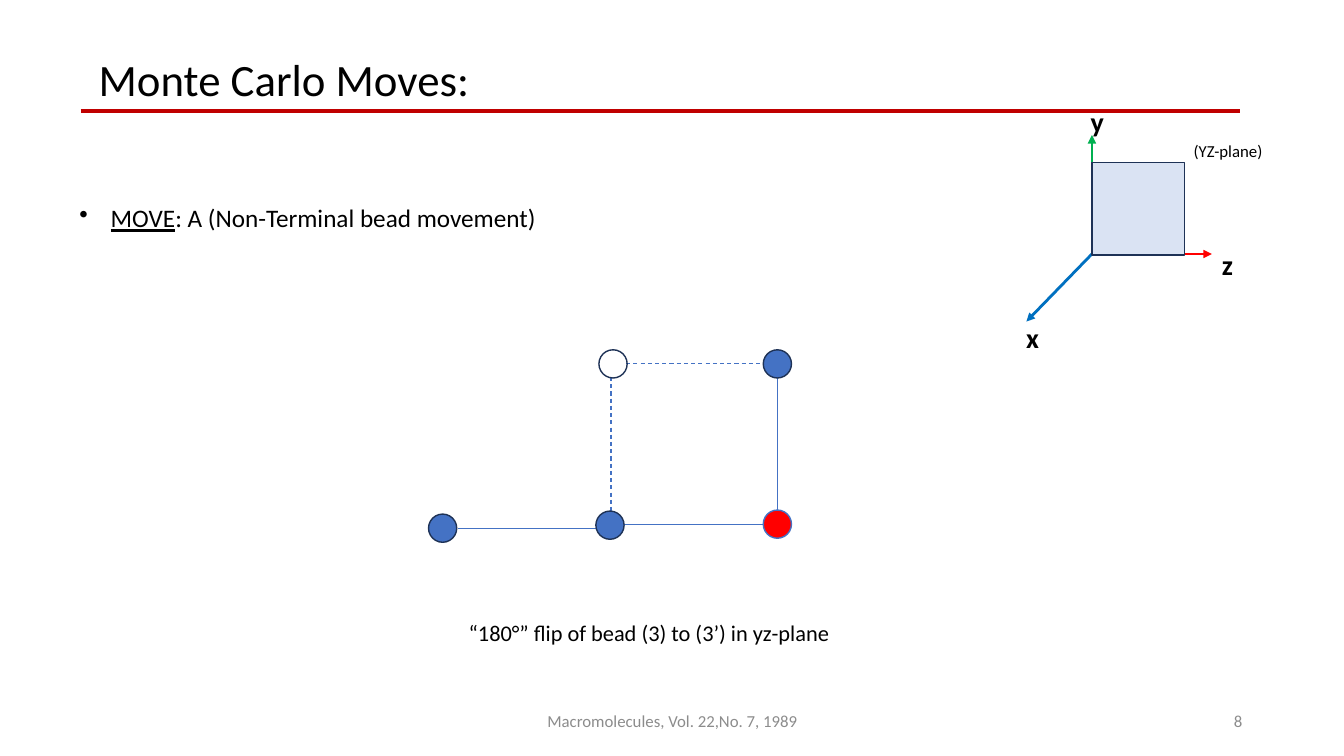
from lxml import etree
from pptx import Presentation
from pptx.dml.color import RGBColor
from pptx.enum.dml import MSO_LINE
from pptx.enum.shapes import MSO_CONNECTOR, MSO_SHAPE
from pptx.enum.text import MSO_ANCHOR, PP_ALIGN
from pptx.oxml.ns import qn
from pptx.util import Inches, Pt

STRAIGHT = MSO_CONNECTOR.STRAIGHT
RECT, OVAL = MSO_SHAPE.RECTANGLE, MSO_SHAPE.OVAL
DASH = MSO_LINE.DASH
MIDDLE = MSO_ANCHOR.MIDDLE
LEFT, CENTER, RIGHT = PP_ALIGN.LEFT, PP_ALIGN.CENTER, PP_ALIGN.RIGHT

BLACK = RGBColor(0x00, 0x00, 0x00)
GRAY = RGBColor(0x8C, 0x8C, 0x8C)
BLUE = RGBColor(0x44, 0x72, 0xC4)
NAVY = RGBColor(0x1E, 0x32, 0x56)
PALE = RGBColor(0xDA, 0xE3, 0xF3)
RED = RGBColor(0xFF, 0x00, 0x00)
GREEN = RGBColor(0x00, 0xB0, 0x50)
AZURE = RGBColor(0x00, 0x70, 0xC0)
CRIMSON = RGBColor(0xC0, 0x00, 0x00)

deck = Presentation()
deck.slide_width, deck.slide_height = Inches(13.33), Inches(7.5)
slide = deck.slides.add_slide(deck.slide_layouts[6])
shapes = slide.shapes


def add_line(start, end, color, width):
    line = shapes.add_connector(STRAIGHT, *map(Inches, start + end))
    line.line.color.rgb = color
    line.line.width = Pt(width)
    etree.SubElement(line._element.spPr, qn("a:effectLst"))
    return line


def add_text(box, text, size, color=BLACK, align=LEFT):
    frame = shapes.add_textbox(*map(Inches, box)).text_frame
    frame.word_wrap = True
    para = frame.paragraphs[0]
    para.text = text
    para.alignment = align
    para.font.name = "Calibri"
    para.font.size = Pt(size)
    para.font.color.rgb = color
    return frame


# Title with its rule
add_line((0.8, 1.1), (12.3, 1.1), CRIMSON, 2.5)
add_text((0.88, 0.46, 6.61, 0.64), "Monte Carlo Moves:", 32)

# Bulleted move name
move = add_text((0.69, 1.96, 5.87, 0.4), "", 18).paragraphs[0]
props = move._p.get_or_add_pPr()
props.set("marL", str(Inches(0.31)))
props.set("indent", str(-Inches(0.31)))
bullet = etree.Element(qn("a:buChar"), char="•")
props.insert(0, bullet)
name = move.add_run()
name.text = "MOVE"
name.font.underline = True
move.add_run().text = ": A (Non-Terminal bead movement)"

# Axes and the YZ plane
ORIGIN = (10.83, 2.52)
AXES = [
    ("x", (10.18, 3.19), AZURE, (10.08, 3.13)),
    ("z", (12.02, 2.52), RED, (12.02, 2.41)),
    ("y", (10.83, 1.34), GREEN, (10.72, 0.99)),
]
for label, tip, color, spot in AXES:
    axis = add_line(ORIGIN, tip, color, 2)
    etree.SubElement(axis.line._get_or_add_ln(), qn("a:tailEnd"), type="triangle")
    frame = add_text(spot + (0.4, 0.4), label, 20)
    frame.paragraphs[0].font.bold = True

plane = shapes.add_shape(RECT, *map(Inches, (10.83, 1.61, 0.92, 0.92)))
plane.shadow.inherit = False
plane.fill.solid()
plane.fill.fore_color.rgb = PALE
plane.line.color.rgb = NAVY
plane.line.width = Pt(1)
add_text((11.74, 1.35, 1.19, 0.3), "(YZ-plane)", 12)

# Bead chain: solid bonds now, dashed bonds after the flip
BONDS = [
    ((7.71, 3.75), (7.71, 5.13), False),
    ((6.19, 5.2), (7.57, 5.2), False),
    ((4.54, 5.24), (5.91, 5.24), False),
    ((6.06, 3.74), (6.06, 5.12), True),
    ((6.21, 3.61), (7.59, 3.61), True),
]
for start, end, dashed in BONDS:
    bond = add_line(start, end, BLUE, 0.75 if dashed else 0.5)
    if dashed:
        bond.line.dash_style = DASH

BEADS = [
    (4.25, 5.1, BLUE, NAVY),
    (5.91, 5.07, BLUE, NAVY),
    (5.94, 3.47, None, NAVY),
    (7.57, 3.47, BLUE, NAVY),
    (7.57, 5.06, RED, BLUE),
]
for left, top, fill, edge in BEADS:
    bead = shapes.add_shape(OVAL, *map(Inches, (left, top, 0.28, 0.28)))
    bead.shadow.inherit = False
    if fill is None:
        bead.fill.background()
    else:
        bead.fill.solid()
        bead.fill.fore_color.rgb = fill
    bead.line.color.rgb = edge
    bead.line.width = Pt(1)

add_text((4.55, 6.09, 4.23, 0.67), "“180°” flip of bead (3) to (3’) in yz-plane", 16)

# Footer
FOOTER = [
    ((4.42, 6.95, 4.5, 0.4), "Macromolecules, Vol. 22,No. 7, 1989", CENTER),
    ((9.42, 6.95, 3, 0.4), "8", RIGHT),
]
for box, text, align in FOOTER:
    add_text(box, text, 12, GRAY, align).vertical_anchor = MIDDLE

deck.save("out.pptx")
